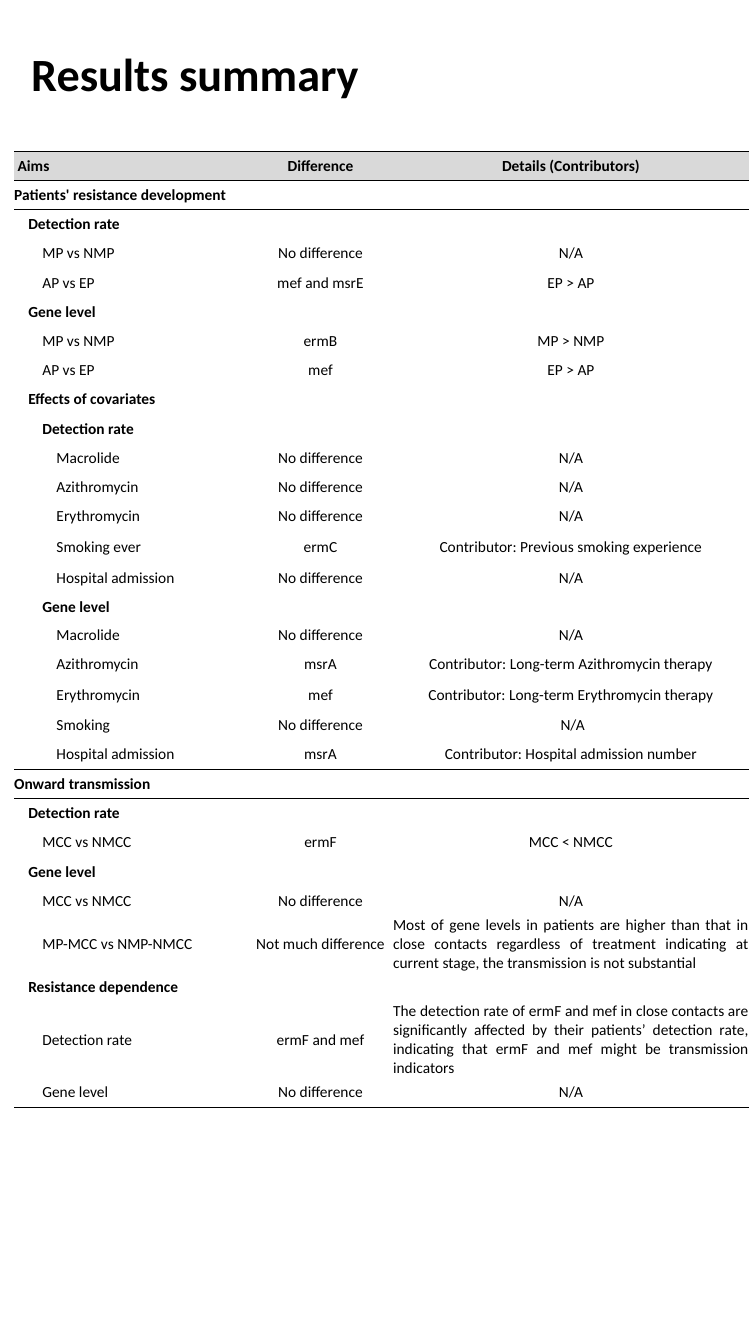
from dataclasses import dataclass
from typing import NamedTuple

from lxml.etree import SubElement
from pptx import Presentation
from pptx.dml.color import RGBColor
from pptx.enum.text import MSO_ANCHOR, MSO_AUTO_SIZE, PP_ALIGN
from pptx.oxml.ns import qn
from pptx.util import Inches, Pt


@dataclass(frozen=True)
class Theme:
    font: str = "Calibri"
    ink: str = "000000"
    header: str = "D9D9D9"
    title_size: float = 33
    body_size: float = 11
    rule: float = 1


class Row(NamedTuple):
    level: int
    aim: str
    difference: str = ""
    details: str = ""
    height: float = 1  # in row pitches


THEME = Theme()
WIDTH, HEIGHT = 7.5, 13.33
PITCH = 0.29
INDENT = 0.14
COLUMNS = (2.32, 1.44, 3.53)
NO_STYLE = "{2D5ABB26-0587-4C30-8999-92F81FD0307C}"
NONE = "No difference"

HEADER = Row(0, "\u00a0Aims", "Difference", "Details (Contributors)")
ROWS = [
    HEADER,
    Row(0, "Patients' resistance development"),
    Row(1, "Detection rate"),
    Row(2, "MP vs NMP", NONE, "N/A"),
    Row(2, "AP vs EP", "mef and msrE", "EP > AP"),
    Row(1, "Gene level"),
    Row(2, "MP vs NMP", "ermB", "MP > NMP"),
    Row(2, "AP vs EP", "mef", "EP > AP"),
    Row(1, "Effects of covariates"),
    Row(2, "Detection rate"),
    Row(3, "Macrolide", NONE, "N/A"),
    Row(3, "Azithromycin", NONE, "N/A"),
    Row(3, "Erythromycin", NONE, "N/A"),
    Row(3, "Smoking ever", "ermC", "Contributor: Previous smoking experience", 1.1),
    Row(3, "Hospital admission", NONE, "N/A"),
    Row(2, "Gene level"),
    Row(3, "Macrolide", NONE, "N/A", 0.93),
    Row(3, "Azithromycin", "msrA", "Contributor: Long-term Azithromycin therapy", 1.07),
    Row(3, "Erythromycin", "mef", "Contributor: Long-term Erythromycin therapy", 1.03),
    Row(3, "Smoking", NONE, "\u00a0N/A"),
    Row(3, "Hospital admission", "msrA", "Contributor: Hospital admission number", 1.03),
    Row(0, "Onward transmission"),
    Row(1, "Detection rate"),
    Row(2, "MCC vs NMCC", "ermF", "MCC < NMCC"),
    Row(1, "Gene level"),
    Row(2, "MCC vs NMCC", NONE, "N/A"),
    Row(2, "MP-MCC vs NMP-NMCC", "Not much difference",
        "Most of gene levels in patients are higher than that in close contacts "
        "regardless of treatment indicating at current stage, the transmission "
        "is not substantial", 1.79),
    Row(1, "Resistance dependence"),
    Row(2, "Detection rate", "ermF and mef",
        "The detection rate of ermF and mef in close contacts are significantly "
        "affected by their patients’ detection rate, indicating that ermF and mef "
        "might be transmission indicators", 2.28),
    Row(2, "Gene level", NONE, "N/A"),
]


def write(tf, text: str, *, size: float = THEME.body_size, bold: bool = False,
          align=PP_ALIGN.LEFT, indent: float = 0, spacing: float = 1) -> None:
    """Put one formatted paragraph in a text frame."""
    p = tf.paragraphs[0]
    p.alignment, p.line_spacing = align, spacing
    if indent:
        p._p.get_or_add_pPr().set("marL", str(Inches(indent)))
    if not text:  # keeps an empty cell as low as its row
        SubElement(p._p, qn("a:endParaRPr"), sz=str(int(size * 100)))
        return
    r = p.add_run()
    r.text = text
    r.font.name, r.font.size, r.font.bold = THEME.font, Pt(size), bold
    r.font.color.rgb = RGBColor.from_string(THEME.ink)


def add_rule(cell, edge: str) -> None:
    """Draw a border on the top (T) or bottom (B) edge of a cell."""
    ln = SubElement(cell._tc.get_or_add_tcPr(), qn(f"a:ln{edge}"), w=str(Pt(THEME.rule)))
    SubElement(SubElement(ln, qn("a:solidFill")), qn("a:srgbClr"), val=THEME.ink)


def fill_row(table, i: int, row: Row) -> None:
    """Write and format one table row."""
    table.rows[i].height = Inches(row.height * PITCH)
    bold = row is HEADER or not row.difference
    edges = "TB" if row.level == 0 else ""
    if i == len(ROWS) - 1 or (i + 1 < len(ROWS) and ROWS[i + 1].level == 0):
        edges = edges or "B"
    for j, text in enumerate((row.aim, row.difference, row.details)):
        cell = table.cell(i, j)
        cell.margin_left = cell.margin_right = cell.margin_top = cell.margin_bottom = 0
        cell.vertical_anchor = MSO_ANCHOR.MIDDLE
        for edge in edges:
            add_rule(cell, edge)
        if row is HEADER:
            cell.fill.solid()
            cell.fill.fore_color.rgb = RGBColor.from_string(THEME.header)
        else:
            cell.fill.background()
        if j == 0:
            write(cell.text_frame, text, bold=bold, indent=row.level * INDENT)
        else:
            align = PP_ALIGN.JUSTIFY if row.height > 1.5 and j == 2 else PP_ALIGN.CENTER
            write(cell.text_frame, text, bold=bold, align=align)


prs = Presentation()
prs.slide_width, prs.slide_height = Inches(WIDTH), Inches(HEIGHT)
s = prs.slides.add_slide(prs.slide_layouts[5])

# Title
title = s.shapes.title
title.left, title.top = Inches(0.21), Inches(-0.53)
title.width, title.height = Inches(6.47), Inches(2.58)
tf = title.text_frame
tf.word_wrap, tf.auto_size = True, MSO_AUTO_SIZE.NONE
tf.vertical_anchor = MSO_ANCHOR.MIDDLE
write(tf, "Results summary", size=THEME.title_size, bold=True, spacing=0.9)

# Results table
frame = s.shapes.add_table(len(ROWS), len(COLUMNS), Inches(0.14), Inches(1.5),
                           Inches(sum(COLUMNS)),
                           Inches(PITCH * sum(row.height for row in ROWS)))
table = frame.table
table.first_row = table.horz_banding = False
table._tbl.tblPr.find(qn("a:tableStyleId")).text = NO_STYLE
for column, width in zip(table.columns, COLUMNS):
    column.width = Inches(width)
for i, row in enumerate(ROWS):
    fill_row(table, i, row)

prs.save("out.pptx")
